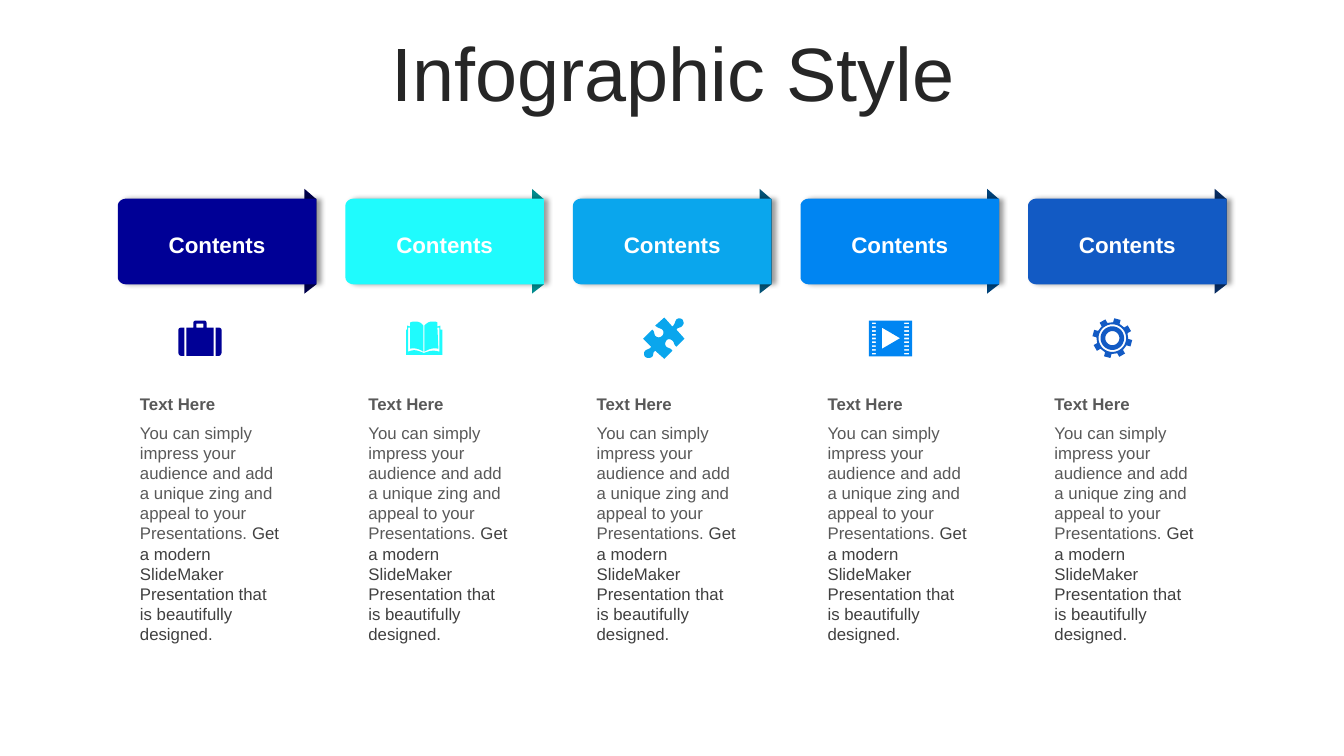
from math import cos, radians, sin

from lxml import etree
from pptx import Presentation
from pptx.dml.color import RGBColor
from pptx.enum import text
from pptx.oxml import ns
from pptx.util import Pt

WHITE = RGBColor(0xFF, 0xFF, 0xFF)
TITLE_INK = RGBColor(0x26, 0x26, 0x26)
GREY = RGBColor(0x59, 0x59, 0x59)
DARK_GREY = RGBColor(0x40, 0x40, 0x40)
NAVY, NAVY_FOLD = RGBColor(0x00, 0x00, 0x96), RGBColor(0x00, 0x00, 0x4B)
CYAN, CYAN_FOLD = RGBColor(0x1F, 0xFB, 0xFD), RGBColor(0x01, 0x8B, 0x8D)
SKY, SKY_FOLD = RGBColor(0x0A, 0xA6, 0xED), RGBColor(0x05, 0x53, 0x76)
AZURE, AZURE_FOLD = RGBColor(0x00, 0x85, 0xF2), RGBColor(0x00, 0x42, 0x79)
ROYAL, ROYAL_FOLD = RGBColor(0x12, 0x5A, 0xC4), RGBColor(0x09, 0x2D, 0x62)

FONT = "Arial"
ICON_UNIT = 0.72  # points per step of the icon grids
CURVE_STEPS = 8
BANNER_W, BANNER_H = 141.8, 61.2

ADVICE = ("You can simply impress your audience and add a unique zing "
          "and appeal to your Presentations. ")
OFFER = "Get a modern SlideMaker Presentation that is beautifully designed."


# Outlines: a contour lists (x, y) corners and (x1, y1, x2, y2, x, y) curves
def flatten(contour):
    points = []
    for step in contour:
        if len(step) == 2:
            points.append(step)
            continue
        ends = [points[-1], step[:2], step[2:4], step[4:]]
        for i in range(1, CURVE_STEPS + 1):
            t = i / CURVE_STEPS
            weights = ((1 - t) ** 3, 3 * t * (1 - t) ** 2, 3 * t * t * (1 - t), t ** 3)
            points.append(tuple(sum(w * end[axis] for w, end in zip(weights, ends))
                                for axis in (0, 1)))
    return points


def add_outline(slide, left, top, contours, colour, unit=1.0):
    builder = None
    for contour in contours:
        points = [(Pt(x * unit), Pt(y * unit)) for x, y in flatten(contour)]
        if builder is None:
            builder = slide.shapes.build_freeform(*points[0])
        else:
            builder.move_to(*points[0])
        builder.add_line_segments(points[1:], close=True)
    outline = builder.convert_to_shape(Pt(left), Pt(top))
    outline.shadow.inherit = False
    outline.fill.solid()
    outline.fill.fore_color.rgb = colour
    outline.line.fill.background()
    return outline


def rectangle(left, top, right, bottom):
    return [(left, top), (right, top), (right, bottom), (left, bottom)]


# Icons
def suitcase():
    side = [(37, 7), (40, 7), (42, 7, 43, 8, 43, 10), (43, 31),
            (43, 33, 42, 35, 40, 35), (37, 35)]
    other_side = [tuple(43 - v if i % 2 == 0 else v for i, v in enumerate(step))
                  for step in side]
    body = [(17, 0), (26, 0), (27, 0, 28, 1, 28, 2), (28, 7), (35, 7), (35, 35),
            (8, 35), (8, 7), (15, 7), (15, 2), (15, 1, 16, 0, 17, 0)]
    return [side, other_side, body, rectangle(18, 3, 25, 7)]


def book():
    return [[(17, 31), (18, 31), (24, 29, 27, 28, 33, 30), (33, 6), (31, 6), (32, 27),
             (27, 26, 23, 27, 18, 30), (18, 4), (21, 1, 23, 0, 26, 0),
             (28, 0, 30, 0, 31, 1), (31, 5), (34, 4), (34, 8), (36, 8), (36, 33),
             (0, 33), (0, 8), (1, 8), (1, 4), (4, 5), (4, 1), (6, 0, 8, 0, 9, 0),
             (12, 0, 15, 1, 17, 4), (17, 30), (13, 27, 8, 26, 4, 27), (4, 6), (2, 6),
             (2, 30), (8, 27, 12, 29, 17, 31)]]


def puzzle():
    return [[(39, 2), (40, 4, 41, 6, 39, 8), (37, 11, 35, 9, 33, 12), (41, 21), (33, 29),
             (30, 27, 31, 24, 29, 23), (27, 21, 24, 21, 23, 23), (22, 24, 21, 27, 23, 29),
             (26, 31, 27, 30, 29, 33), (21, 41), (12, 33), (9, 35, 11, 36, 9, 39),
             (6, 41, 3, 40, 2, 39), (1, 38, 0, 35, 2, 33), (4, 31, 6, 32, 8, 29),
             (0, 21), (9, 12), (12, 14, 10, 17, 13, 19), (15, 20, 17, 20, 19, 18),
             (20, 17, 21, 14, 19, 12), (16, 10, 15, 11, 12, 8), (21, 0), (29, 9),
             (32, 6, 31, 5, 33, 2), (35, 0, 38, 1, 39, 2)]]


def film():
    holes = [rectangle(left, 2 + 3.75 * row, right, 3.6 + 3.75 * row)
             for row in range(9) for left, right in ((3, 7), (35, 40))]
    return [rectangle(0, 0, 43, 35.5), [(13, 7), (13, 28), (31, 17.5)]] + holes


def gear():
    def polar(radius, angle):
        return (19.5 + radius * sin(radians(angle)), 19.5 - radius * cos(radians(angle)))

    teeth = [polar(radius, 15 + 45 * tooth + turn) for tooth in range(8)
             for radius, turn in ((15.8, -12), (19.8, -9.5), (19.8, 9.5), (15.8, 12))]
    rings = [[polar(radius, angle) for angle in range(0, 360, 10)]
             for radius in (13.7, 11.7, 7)]
    return [teeth] + rings


# Text
def add_text(slide, left, top, width, height, runs, size, bold=False,
             align=text.PP_ALIGN.LEFT, anchor=text.MSO_ANCHOR.TOP, side_inset=7.2):
    frame = slide.shapes.add_textbox(Pt(left), Pt(top), Pt(width), Pt(height)).text_frame
    frame.word_wrap = True
    frame.vertical_anchor = anchor
    frame.margin_left = frame.margin_right = Pt(side_inset)
    paragraph = frame.paragraphs[0]
    paragraph.alignment = align
    for words, colour in runs:
        run = paragraph.add_run()
        run.text = words
        run.font.name, run.font.size, run.font.bold = FONT, Pt(size), bold
        run.font.color.rgb = colour
    return paragraph


def add_title(slide, left, top, width, height):
    title = add_text(slide, left, top, width, height, [("Infographic Style", TITLE_INK)],
                     54, align=text.PP_ALIGN.CENTER, anchor=text.MSO_ANCHOR.MIDDLE)
    title.line_spacing = 0.9


# Banner with a folded strip behind its right edge
def add_banner(slide, left, top, width, height, colour, fold_colour):
    fold = [(width - 8.5, -7), (width, 0.4), (width, height), (width - 8.5, height + 6.6)]
    add_outline(slide, left, top, [fold], fold_colour)
    face = [(6, 0), (width, 0), (width, height), (6, height),
            (2.9, height, 0, height - 2.2, 0, height - 5.1), (0, 5.1), (0, 2.2, 2.9, 0, 6, 0)]
    banner = add_outline(slide, left, top, [face], colour)
    effects = banner.element.spPr.find(ns.qn("a:effectLst"))
    shadow = etree.SubElement(effects, ns.qn("a:outerShdw"), blurRad=str(Pt(4)),
                              dist=str(Pt(3)), dir="0", algn="l", rotWithShape="0")
    black = etree.SubElement(shadow, ns.qn("a:prstClr"), val="black")
    etree.SubElement(black, ns.qn("a:alpha"), val="40000")
    add_text(slide, left, top + 2, width, height, [("Contents", WHITE)], 16, True,
             text.PP_ALIGN.CENTER, text.MSO_ANCHOR.MIDDLE, side_inset=0)


# Column: banner, icon, heading and body
def add_column(slide, left, top, colour, fold_colour, icon, icon_x, icon_y, text_x):
    add_banner(slide, left, top, BANNER_W, BANNER_H, colour, fold_colour)
    add_outline(slide, left + icon_x, top + icon_y, icon(), colour, ICON_UNIT)
    add_text(slide, left + text_x, top + 136, 118, 21.6, [("Text Here", GREY)], 12, True)
    add_text(slide, left + text_x, top + 156.2, 116.6, 167,
             [(ADVICE, GREY), (OFFER, DARK_GREY)], 12)


COLUMNS = [
    (NAVY, NAVY_FOLD, suitcase, 43.2, 87.1, 8.7),
    (CYAN, CYAN_FOLD, book, 43.4, 87.8, 9.3),
    (SKY, SKY_FOLD, puzzle, 50.1, 84.9, 9.8),
    (AZURE, AZURE_FOLD, film, 48.8, 87.1, 12.2),
    (ROYAL, ROYAL_FOLD, gear, 46.1, 85.6, 11.7),
]


def main():
    deck = Presentation()
    deck.slide_width, deck.slide_height = Pt(960), Pt(540)
    slide = deck.slides.add_slide(deck.slide_layouts[6])
    add_title(slide, 25.2, 26.6, 911.5, 56.9)
    for index, column in enumerate(COLUMNS):
        add_column(slide, 84.2 + 162.55 * index, 141.9, *column)
    deck.save("out.pptx")


if __name__ == "__main__":
    main()
